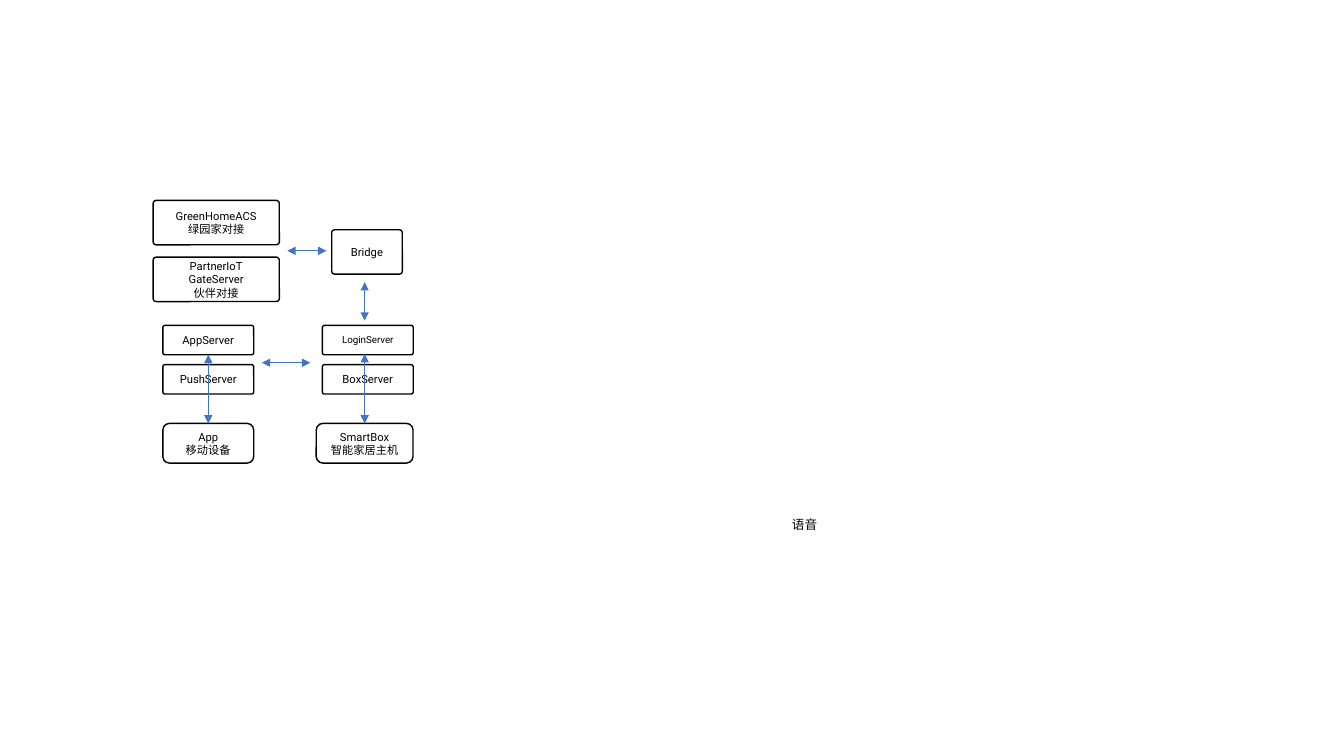
import pptx
import pptx.dml.color
import pptx.enum.shapes
import pptx.enum.text
import pptx.oxml.ns
import pptx.util
from lxml import etree

Cm = pptx.util.Cm
Pt = pptx.util.Pt
LATIN_FONT = "Roboto"
CHINESE_FONT = "Noto Sans CJK SC"


def color(value):
    return pptx.dml.color.RGBColor.from_string(value)


def add_element(parent, tag, **attributes):
    return etree.SubElement(parent, pptx.oxml.ns.qn(tag), **attributes)


def write_text(frame, text, size=8, font=LATIN_FONT, ink="000000", align=None):
    """Write one paragraph for each line of the text."""
    for index, line in enumerate(text.split("\n")):
        paragraph = frame.paragraphs[0] if index == 0 else frame.add_paragraph()
        paragraph.alignment = align
        run = paragraph.add_run()
        run.text = line
        run.font.size = Pt(size)
        run.font.name = font
        run.font.color.rgb = color(ink)
        add_element(run.font._element, "a:ea", typeface=CHINESE_FONT)


class Diagram:
    outline = "000000"
    fill = "FFFFFF"
    arrow_color = "4472C4"

    def __init__(self, slide):
        self.slide = slide

    def box(self, text, center, top, width, height, corner=0.069, size=8):
        shape = self.slide.shapes.add_shape(
            pptx.enum.shapes.MSO_SHAPE.ROUNDED_RECTANGLE,
            Cm(center - width / 2), Cm(top), Cm(width), Cm(height))
        shape.adjustments[0] = corner
        shape.shadow.inherit = False
        shape.fill.solid()
        shape.fill.fore_color.rgb = color(self.fill)
        shape.line.color.rgb = color(self.outline)
        shape.line.width = Pt(1)
        shape.text_frame.word_wrap = True
        shape.text_frame.vertical_anchor = pptx.enum.text.MSO_ANCHOR.MIDDLE
        write_text(shape.text_frame, text, size=size,
                   align=pptx.enum.text.PP_ALIGN.CENTER)
        return shape

    def server(self, text, center, top, size=8):
        return self.box(text, center, top, 2.29, 0.74, size=size)

    def gateway(self, text, center, top, width=3.18):
        return self.box(text, center, top, width, 1.12)

    def device(self, text, center, width):
        return self.box(text, center, 10.67, width, 1, corner=0.16667)

    def arrow(self, start, end, begin_shape=None, end_shape=None):
        """Draw a two-headed arrow, joined from a bottom to a top side."""
        connector = self.slide.shapes.add_connector(
            pptx.enum.shapes.MSO_CONNECTOR.STRAIGHT,
            Cm(start[0]), Cm(start[1]), Cm(end[0]), Cm(end[1]))
        connector.line.color.rgb = color(self.arrow_color)
        connector.line.width = Pt(0.5)
        line = connector.line._get_or_add_ln()
        add_element(line, "a:headEnd", type="triangle")
        add_element(line, "a:tailEnd", type="triangle")
        add_element(connector._element.spPr, "a:effectLst")
        if begin_shape is not None:
            connector.begin_connect(begin_shape, 2)
        if end_shape is not None:
            connector.end_connect(end_shape, 0)

    def label(self, text, left, top, width, height):
        shape = self.slide.shapes.add_textbox(
            Cm(left), Cm(top), Cm(width), Cm(height))
        shape.text_frame.word_wrap = False
        shape.text_frame.auto_size = pptx.enum.text.MSO_AUTO_SIZE.SHAPE_TO_FIT_TEXT
        write_text(shape.text_frame, text, size=9, font=CHINESE_FONT)


def main():
    presentation = pptx.Presentation()
    presentation.slide_width = Cm(33.87)
    presentation.slide_height = Cm(19.05)
    diagram = Diagram(presentation.slides.add_slide(presentation.slide_layouts[6]))

    # Column centres and server rows
    app_x, box_x, smart_box_x = 5.25, 9.27, 9.19
    upper_row, lower_row = 8.2, 9.19

    # Voice assistant label
    diagram.label("语音", 19.71, 12.9, 1.14, 0.64)

    # Devices
    app = diagram.device("App\n移动设备", app_x, 2.29)
    smart_box = diagram.device("SmartBox\n智能家居主机", smart_box_x, 2.44)

    # Servers
    app_server = diagram.server("AppServer", app_x, upper_row)
    diagram.server("PushServer", app_x, lower_row)
    diagram.server("BoxServer", box_x, lower_row)
    diagram.server("LoginServer", box_x, upper_row, size=7)

    # Partner gateways and bridge
    diagram.gateway("PartnerIoT\nGateServer\n伙伴对接", 5.45, 6.48)
    diagram.gateway("GreenHomeACS\n绿园家对接", 5.45, 5.05)
    diagram.gateway("Bridge", 9.25, 5.79, width=1.78)

    # Arrows between devices and servers
    diagram.arrow((smart_box_x, 8.92), (smart_box_x, 10.67), end_shape=smart_box)
    diagram.arrow((app_x, 8.94), (app_x, 10.67), app_server, app)

    # Arrows between groups
    diagram.arrow((8.23, 6.32), (7.24, 6.32))
    diagram.arrow((smart_box_x, 8.08), (smart_box_x, 7.11))
    diagram.arrow((7.82, 9.14), (6.6, 9.14))

    presentation.save("out.pptx")


if __name__ == "__main__":
    main()
